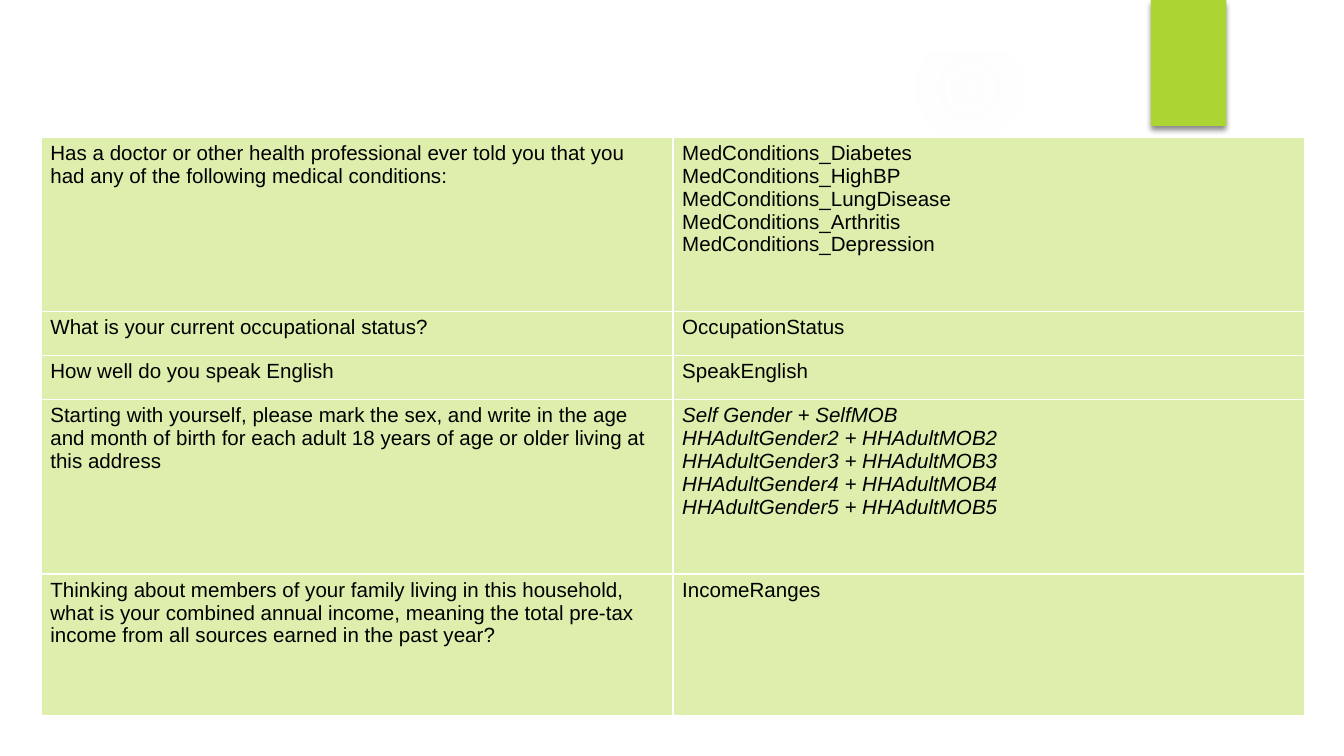
from dataclasses import dataclass
from math import cos, radians, sin

from lxml.etree import SubElement
from pptx import Presentation
from pptx.dml.color import RGBColor
from pptx.enum.shapes import MSO_SHAPE
from pptx.enum.text import MSO_ANCHOR, PP_ALIGN
from pptx.oxml.ns import qn
from pptx.shapes.autoshape import Shape
from pptx.slide import Slide
from pptx.table import _Cell
from pptx.util import Emu, Pt

EMU_PER_PX = 6350
Points = tuple[tuple[float, float], ...]


@dataclass(frozen=True)
class Theme:
    background: str = "FFFFFF"
    glow: str = "F7F7F7"
    accent: str = "ACD433"
    cell: str = "DEEEAD"
    border: str = "FFFFFF"
    text: str = "000000"
    shadow: str = "000000"
    font: str = "Arial"
    text_size: int = 11
    border_width: int = 1


@dataclass(frozen=True)
class Box:
    left: int
    top: int
    width: int
    height: int


@dataclass(frozen=True)
class Glow:
    left: int
    top: int
    size: int
    center_alpha: int
    middle_alpha: int
    fade_end: int


@dataclass(frozen=True)
class SurveyRow:
    question: str
    variables: tuple[str, ...]
    height: int
    italic: bool = False


THEME = Theme()
SLIDE = Box(0, 0, 1440, 810)
TAB = Box(1233, 0, 81, 135)
TABLE = Box(44, 147, 1354, 620)
GLOWS = (
    Glow(0, 315, 495, 11, 10, 75),
    Glow(0, 342, 279, 8, 8, 72),
    Glow(1017, 198, 333, 7, 6, 69),
    Glow(945, 0, 189, 14, 7, 73),
    Glow(1017, 694, 117, 14, 7, 66),
)
SWOOSH_ANGLE = -9.8
SWOOSH = (
    (1009, 269), (1120, 263), (1260, 248), (1392, 230), (1385, 180), (1335, 196),
    (1273, 213), (1210, 229), (1149, 241), (1090, 250), (1025, 261), (1004, 262),
)
PANEL = (
    (54, 220), (54, 756), (1386, 756), (1386, 220), (1296, 235), (1205, 243),
    (1115, 251), (1025, 261), (936, 265), (850, 266), (764, 268), (682, 268),
    (603, 266), (527, 264), (433, 258), (346, 252), (268, 245), (202, 239),
    (145, 232), (102, 228),
)
FRAME_OUTSIDE = ((0, 0), (0, 810), (1440, 810), (1440, 0))
FRAME_INSIDE = ((1382, 753), (56, 753), (56, 56), (1382, 56))
ROWS = (
    SurveyRow(
        "Has a doctor or other health professional ever told you that you had any "
        "of the following medical conditions:",
        tuple(
            f"MedConditions_{condition}"
            for condition in ("Diabetes", "HighBP", "LungDisease", "Arthritis", "Depression")
        ),
        187,
    ),
    SurveyRow("What is your current occupational status?", ("OccupationStatus",), 47),
    SurveyRow("How well do you speak English", ("SpeakEnglish",), 47),
    SurveyRow(
        "Starting with yourself, please mark the sex, and write in the age and month "
        "of birth for each adult 18 years of age or older living at this address",
        (
            "Self Gender + SelfMOB",
            *(f"HHAdultGender{adult} + HHAdultMOB{adult}" for adult in range(2, 6)),
        ),
        187,
        italic=True,
    ),
    SurveyRow(
        "Thinking about members of your family living in this household, what is your "
        "combined annual income, meaning the total pre-tax income from all sources "
        "earned in the past year?",
        ("IncomeRanges",),
        152,
    ),
)


def px(length: int) -> Emu:
    return Emu(length * EMU_PER_PX)


def place(box: Box) -> tuple[Emu, Emu, Emu, Emu]:
    return px(box.left), px(box.top), px(box.width), px(box.height)


def paint(shape: Shape, color: str) -> None:
    shape.fill.solid()
    shape.fill.fore_color.rgb = RGBColor.from_string(color)
    shape.line.fill.background()
    shape.shadow.inherit = False


def draw_glow(slide: Slide, glow: Glow) -> None:
    box = Box(glow.left, glow.top, glow.size, glow.size)
    shape = slide.shapes.add_shape(MSO_SHAPE.OVAL, *place(box))
    paint(shape, THEME.glow)
    properties = shape._element.spPr
    gradient = SubElement(properties, qn("a:gradFill"), rotWithShape="1")
    properties.replace(properties.find(qn("a:solidFill")), gradient)
    stops = SubElement(gradient, qn("a:gsLst"))
    for position, alpha in ((0, glow.center_alpha), (36, glow.middle_alpha), (glow.fade_end, 0)):
        stop = SubElement(stops, qn("a:gs"), pos=str(position * 1000))
        color = SubElement(stop, qn("a:srgbClr"), val=THEME.glow)
        SubElement(color, qn("a:alpha"), val=str(alpha * 1000))
    radial = SubElement(gradient, qn("a:path"), path="circle")
    SubElement(radial, qn("a:fillToRect"), l="50000", t="50000", r="50000", b="50000")


def draw_outline(slide: Slide, *contours: Points) -> Shape:
    builder = slide.shapes.build_freeform(*contours[0][0], scale=EMU_PER_PX)
    builder.add_line_segments(contours[0][1:], close=True)
    for contour in contours[1:]:
        builder.move_to(*contour[0])
        builder.add_line_segments(contour[1:], close=True)
    shape = builder.convert_to_shape()
    paint(shape, THEME.background)
    return shape


def turn(points: Points, degrees: float) -> Points:
    center_x, center_y = (sum(map(pick, (min(axis), max(axis)))) / 2
                          for pick, axis in ((float, values) for values in zip(*points)))
    cosine, sine = cos(radians(degrees)), sin(radians(degrees))
    return tuple(
        (
            center_x + (x - center_x) * cosine - (y - center_y) * sine,
            center_y + (x - center_x) * sine + (y - center_y) * cosine,
        )
        for x, y in points
    )


def draw_swoosh(slide: Slide) -> None:
    shape = draw_outline(slide, turn(SWOOSH, -SWOOSH_ANGLE))
    shape.rotation = SWOOSH_ANGLE
    color = shape._element.spPr.find(qn("a:solidFill"))[0]
    SubElement(color, qn("a:alpha"), val="20000")


def draw_tab(slide: Slide, box: Box) -> None:
    shape = slide.shapes.add_shape(MSO_SHAPE.RECTANGLE, *place(box))
    paint(shape, THEME.accent)
    effects = shape._element.spPr.find(qn("a:effectLst"))
    shadow = SubElement(effects, qn("a:outerShdw"), blurRad=str(Pt(3)), dist=str(Pt(2)),
                        dir="5400000", rotWithShape="0")
    color = SubElement(shadow, qn("a:srgbClr"), val=THEME.shadow)
    SubElement(color, qn("a:alpha"), val="45000")


def draw_borders(cell: _Cell) -> None:
    properties = cell._tc.get_or_add_tcPr()
    for index, side in enumerate(("a:lnL", "a:lnR", "a:lnT", "a:lnB")):
        line = SubElement(properties, qn(side), w=str(Pt(THEME.border_width)))
        properties.insert(index, line)
        fill = SubElement(line, qn("a:solidFill"))
        SubElement(fill, qn("a:srgbClr"), val=THEME.border)


def write_cell(cell: _Cell, text: str, *, italic: bool = False) -> None:
    """Fill and border a table cell, with one paragraph for each line of text."""
    cell.fill.solid()
    cell.fill.fore_color.rgb = RGBColor.from_string(THEME.cell)
    draw_borders(cell)
    cell.margin_left = cell.margin_right = px(10)
    cell.margin_top = cell.margin_bottom = px(5)
    cell.vertical_anchor = MSO_ANCHOR.TOP
    cell.text_frame.text = text
    for paragraph in cell.text_frame.paragraphs:
        paragraph.alignment = PP_ALIGN.LEFT
        font = paragraph.runs[0].font
        font.name, font.size = THEME.font, Pt(THEME.text_size)
        font.italic, font.bold = italic, False
        font.color.rgb = RGBColor.from_string(THEME.text)


def draw_survey_table(slide: Slide, box: Box, rows: tuple[SurveyRow, ...]) -> None:
    table = slide.shapes.add_table(len(rows), 2, *place(box)).table
    table.first_row = table.horz_banding = False
    for column in table.columns:
        column.width = px(box.width // 2)
    for index, row in enumerate(rows):
        table.rows[index].height = px(row.height)
        write_cell(table.cell(index, 0), row.question)
        write_cell(table.cell(index, 1), "\n".join(row.variables), italic=row.italic)


def main() -> None:
    presentation = Presentation()
    presentation.slide_width, presentation.slide_height = px(SLIDE.width), px(SLIDE.height)
    slide = presentation.slides.add_slide(presentation.slide_layouts[6])
    slide.background.fill.solid()
    slide.background.fill.fore_color.rgb = RGBColor.from_string(THEME.background)
    for glow in GLOWS:
        draw_glow(slide, glow)
    draw_swoosh(slide)
    draw_outline(slide, PANEL)
    draw_outline(slide, FRAME_OUTSIDE, FRAME_INSIDE)
    draw_tab(slide, TAB)
    draw_survey_table(slide, TABLE, ROWS)
    presentation.save("out.pptx")


if __name__ == "__main__":
    main()
